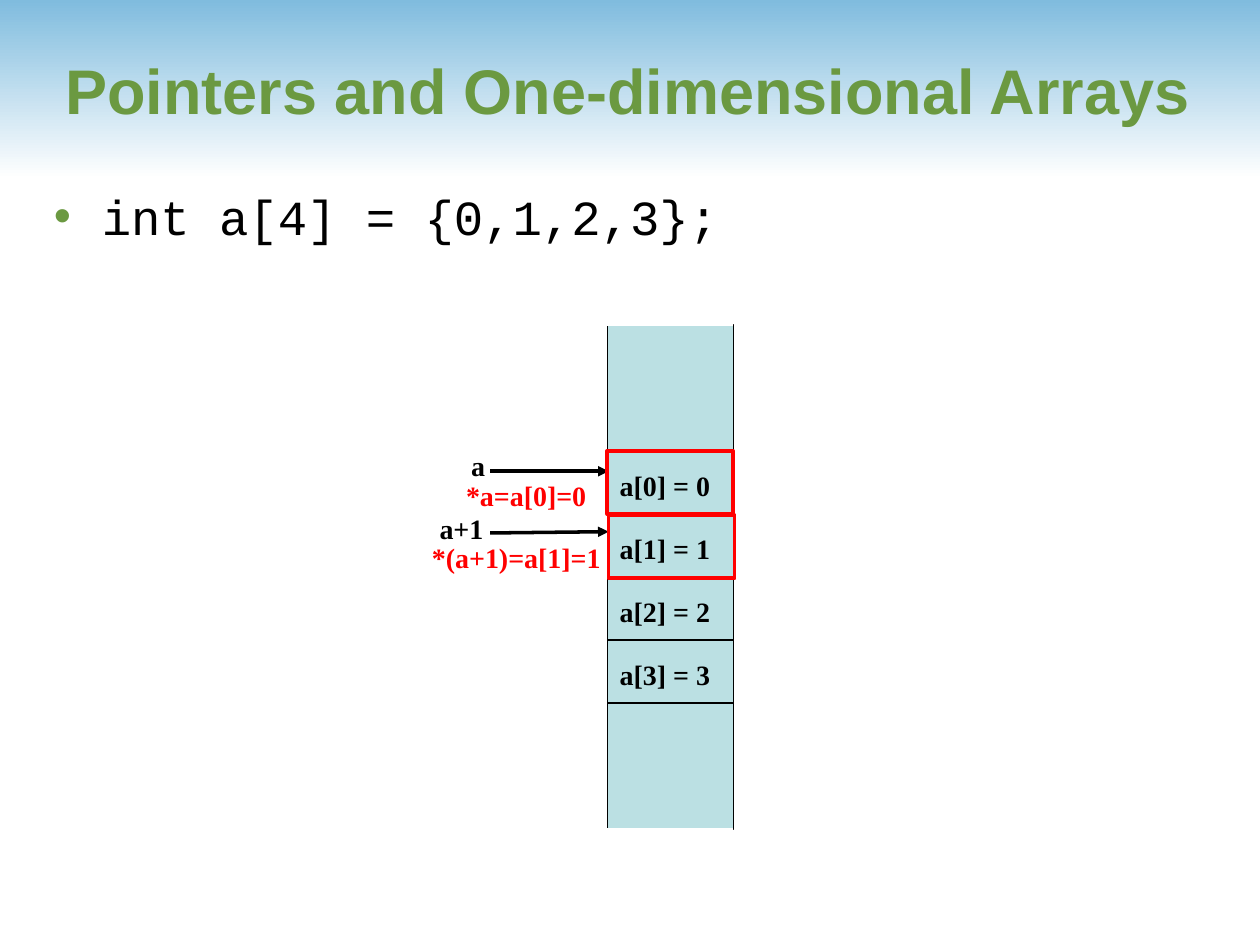
"""Build a slide on pointers and one-dimensional arrays with a memory diagram."""
import pptx
import pptx.dml.color
import pptx.enum.dml
import pptx.enum.shapes
import pptx.enum.text
import pptx.oxml
import pptx.oxml.ns
import pptx.util

Inches = pptx.util.Inches
Pt = pptx.util.Pt

COLORS = {
    "sky": "80BCDE",
    "white": "FFFFFF",
    "green": "6B9941",
    "black": "000000",
    "red": "FF0000",
    "memory": "BBE0E3",
}
TITLE = "Pointers and One-dimensional Arrays"
DECLARATION = "int a[4] = {0,1,2,3};"
CELLS = ["a[0] = 0", "a[1] = 1", "a[2] = 2", "a[3] = 3"]
LABELS = [
    ("a", 3.64, 3.51, 0.62, "black"),
    ("*a=a[0]=0", 3.6, 3.75, 1.25, "red"),
    ("a+1", 3.39, 4.01, 0.62, "black"),
    ("*(a+1)=a[1]=1", 3.33, 4.24, 1.6, "red"),
]
ARROWS = [(3.74, 3.74), (4.23, 4.22)]
HIGHLIGHTS = [(4.82, 3.58), (4.83, 4.09)]
MEMORY_LEFT, MEMORY_TOP, MEMORY_WIDTH = 4.82, 2.58, 1
BLOCK_HEIGHT, CELL_HEIGHT = 2, 0.5
MEMORY_RIGHT = MEMORY_LEFT + MEMORY_WIDTH
CELLS_TOP = MEMORY_TOP + BLOCK_HEIGHT / 2


def color(name):
    return pptx.dml.color.RGBColor.from_string(COLORS[name])


def add_element(parent, tag, **attributes):
    element = pptx.oxml.parse_xml(f"<{tag} {pptx.oxml.ns.nsdecls('a')}/>")
    for key, value in attributes.items():
        element.set(key, value)
    parent.append(element)
    return element


def add_text(slide, text, place, font_name, size, tint, bold=False):
    box = slide.shapes.add_textbox(*map(Inches, place))
    box.text_frame.word_wrap = True
    para = box.text_frame.paragraphs[0]
    para.text = text
    font = para.runs[0].font
    font.name, font.size, font.bold = font_name, Pt(size), bold
    font.color.rgb = color(tint)
    return box


def add_rectangle(slide, place, fill=None, line=None, width=0.75):
    kind = pptx.enum.shapes.MSO_SHAPE.RECTANGLE
    box = slide.shapes.add_shape(kind, *map(Inches, place))
    box.shadow.inherit = False
    if fill:
        box.fill.solid()
        box.fill.fore_color.rgb = color(fill)
    else:
        box.fill.background()
    if line:
        box.line.color.rgb = color(line)
        box.line.width = Pt(width)
    else:
        box.line.fill.background()
    return box


def add_line(slide, start, end, tint="black", width=0.75, arrow=False):
    kind = pptx.enum.shapes.MSO_CONNECTOR.STRAIGHT
    line = slide.shapes.add_connector(kind, *map(Inches, start + end))
    line.line.color.rgb = color(tint)
    line.line.width = Pt(width)
    if arrow:
        add_element(line.line._get_or_add_ln(), "a:tailEnd", type="triangle")
    add_element(line._element.spPr, "a:effectLst")
    return line


def add_rule(slide, top, tint="black"):
    return add_line(slide, (MEMORY_LEFT, top), (MEMORY_RIGHT, top), tint)


def add_header(slide):
    band = add_rectangle(slide, (0, 0, 10, 1.42))
    band.fill.gradient()
    band.fill.gradient_angle = 270
    for stop, tint, position in zip(band.fill.gradient_stops, ("sky", "white"), (0, 1)):
        stop.color.rgb = color(tint)
        stop.position = position
    title = add_text(slide, TITLE, (0.42, 0.08, 9.42, 1.25), "Arial", 36, "green", True)
    title.text_frame.vertical_anchor = pptx.enum.text.MSO_ANCHOR.MIDDLE


def add_declaration(slide):
    place = (0.33, 1.43, 9.5, 5.48)
    box = add_text(slide, DECLARATION, place, "Courier New", 28, "black")
    properties = box.text_frame.paragraphs[0]._p.get_or_add_pPr()
    properties.set("marL", str(Inches(0.38)))
    properties.set("indent", str(Inches(-0.38)))
    bullet_color = add_element(properties, "a:buClr")
    add_element(bullet_color, "a:srgbClr", val=COLORS["green"])
    add_element(properties, "a:buFont", typeface="Arial")
    add_element(properties, "a:buChar", char="•")


def add_memory(slide):
    for index in range(2):
        top = MEMORY_TOP + index * BLOCK_HEIGHT
        place = (MEMORY_LEFT, top, MEMORY_WIDTH, BLOCK_HEIGHT)
        block = add_rectangle(slide, place, "memory", "black")
        middle = add_rule(slide, top + BLOCK_HEIGHT / 2)
        middle.begin_connect(block, 1)
        middle.end_connect(block, 3)
    for index in (1, 3):
        add_rule(slide, CELLS_TOP + index * CELL_HEIGHT)
    for top in (MEMORY_TOP, MEMORY_TOP + 2 * BLOCK_HEIGHT):
        add_rule(slide, top, "white")
    for index, text in enumerate(CELLS):
        place = (MEMORY_LEFT, CELLS_TOP + 0.09 + index * CELL_HEIGHT, MEMORY_WIDTH, 0.37)
        add_text(slide, text, place, "Times New Roman", 16, "black", True)


def add_pointers(slide):
    for text, left, top, width, tint in LABELS:
        add_text(slide, text, (left, top, width, 0.37), "Times New Roman", 16, tint, True)
    for start, end in ARROWS:
        add_line(slide, (3.89, start), (4.83, end), width=2, arrow=True)
    for left, top in HIGHLIGHTS:
        place = (left, top, MEMORY_WIDTH, CELL_HEIGHT)
        add_rectangle(slide, place, line="red", width=2.25)


def main():
    deck = pptx.Presentation()
    deck.slide_width, deck.slide_height = Inches(10), Inches(7.5)
    slide = deck.slides.add_slide(deck.slide_layouts[6])
    add_header(slide)
    add_declaration(slide)
    add_memory(slide)
    add_pointers(slide)
    deck.save("out.pptx")


if __name__ == "__main__":
    main()
